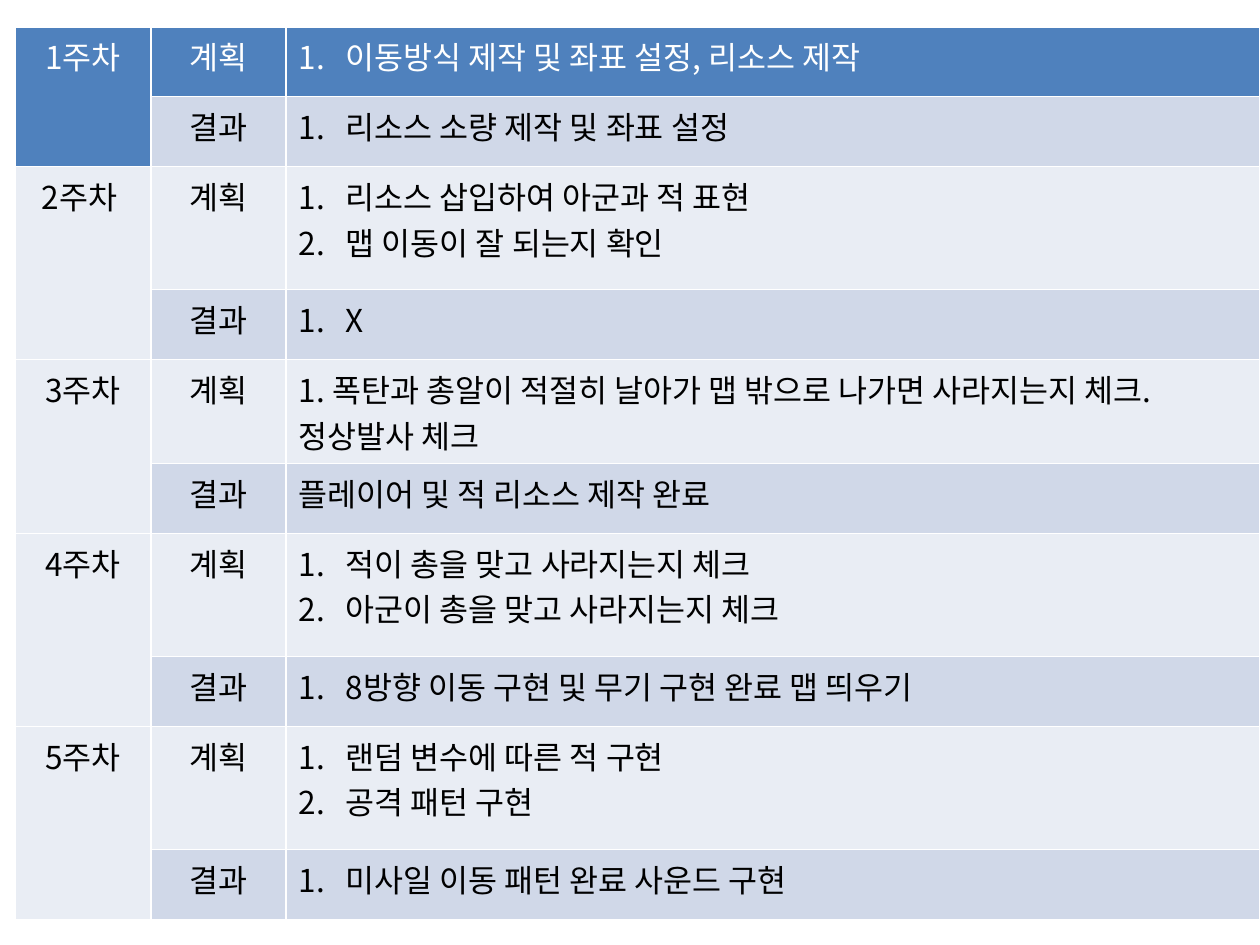
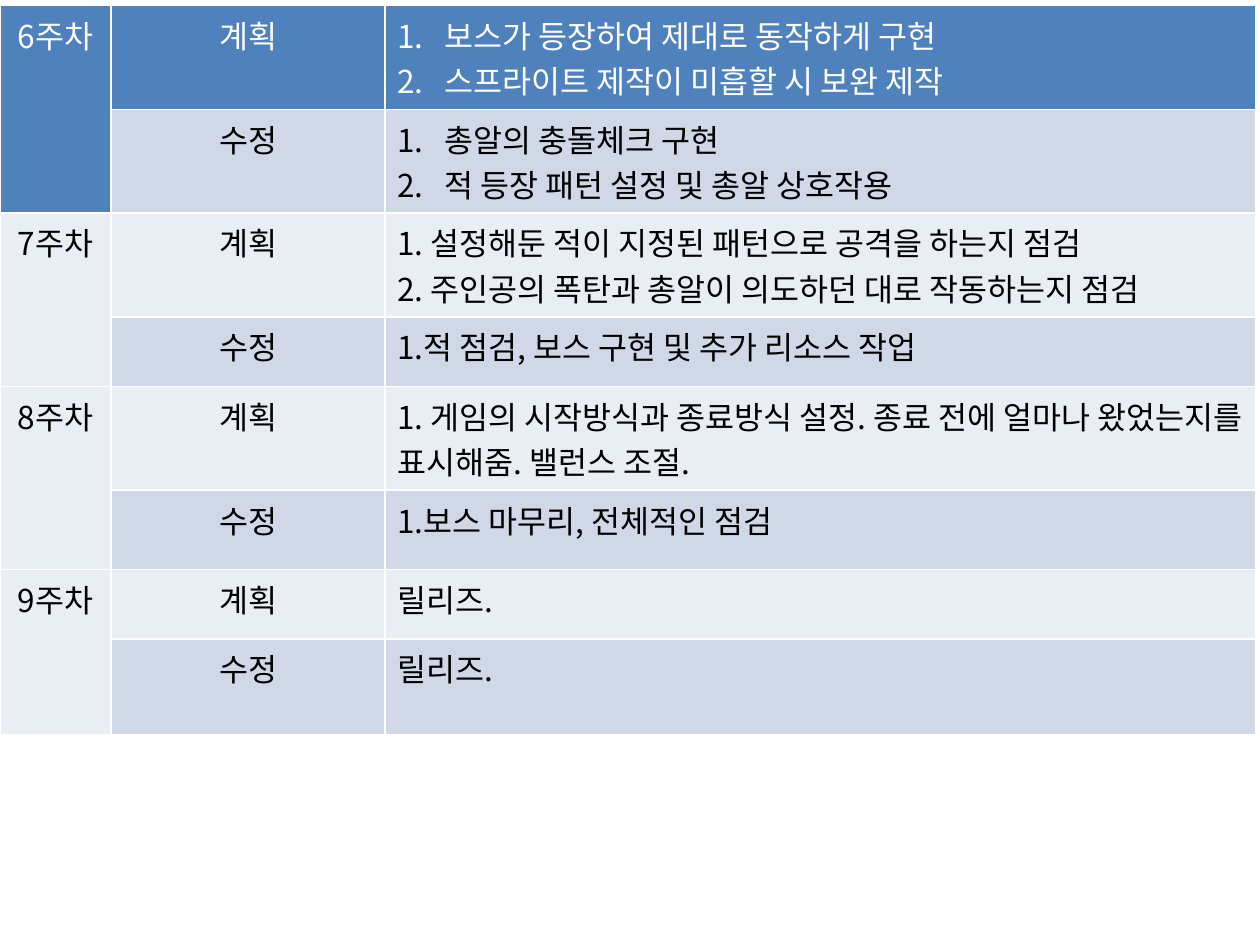
from lxml import etree
from pptx import Presentation
from pptx import util as u
from pptx.dml import color
from pptx.enum import text
from pptx.oxml import ns

FONT = "Noto Sans CJK KR"
WHITE, BLACK = "FFFFFF", "000000"
HEADER, PLAN_ROW, RESULT_ROW = "4F81BD", "E9EDF4", "D0D8E8"
NUMBER_INDENT = u.Cm(0.95)
SHORT, TALL = 1.41, 2.48  # row heights in cm

# Each week: label, plan, outcome. A list is auto-numbered; a string is plain
# text with one paragraph per line.
FIRST_WEEKS = [
    ("1주차", ["이동방식 제작 및 좌표 설정, 리소스 제작"],
     ["리소스 소량 제작 및 좌표 설정"]),
    ("2주차 ", ["리소스 삽입하여 아군과 적 표현", "맵 이동이 잘 되는지 확인"], ["X"]),
    ("3주차", "1. 폭탄과 총알이 적절히 날아가 맵 밖으로 나가면 사라지는지 체크. 정상발사 체크",
     "플레이어 및 적 리소스 제작 완료"),
    ("4주차", ["적이 총을 맞고 사라지는지 체크", "아군이 총을 맞고 사라지는지 체크"],
     ["8방향 이동 구현 및 무기 구현 완료 맵 띄우기"]),
    ("5주차", ["랜덤 변수에 따른 적 구현", "공격 패턴 구현"],
     ["미사일 이동 패턴 완료 사운드 구현"]),
]
LAST_WEEKS = [
    ("6주차", ["보스가 등장하여 제대로 동작하게 구현", "스프라이트 제작이 미흡할 시 보완 제작"],
     ["총알의 충돌체크 구현", "적 등장 패턴 설정 및 총알 상호작용"]),
    ("7주차", "1. 설정해둔 적이 지정된 패턴으로 공격을 하는지 점검\n"
     "2. 주인공의 폭탄과 총알이 의도하던 대로 작동하는지 점검",
     "1.적 점검, 보스 구현 및 추가 리소스 작업"),
    ("8주차", "1. 게임의 시작방식과 종료방식 설정. 종료 전에 얼마나 왔었는지를 표시해줌. 밸런스 조절.",
     "1.보스 마무리, 전체적인 점검"),
    ("9주차", "릴리즈.", "릴리즈."),
]


def rgb(value):
    return color.RGBColor.from_string(value)


def add_borders(cell):
    """Draw a thin white line on all four sides."""
    properties = cell._tc.get_or_add_tcPr()
    for side in ("lnL", "lnR", "lnT", "lnB"):
        line = etree.SubElement(properties, ns.qn(f"a:{side}"), w=str(u.Pt(1)))
        fill = etree.SubElement(line, ns.qn("a:solidFill"))
        etree.SubElement(fill, ns.qn("a:srgbClr"), val=WHITE)


def number_paragraph(paragraph):
    properties = paragraph._p.get_or_add_pPr()
    properties.set("marL", str(NUMBER_INDENT))
    properties.set("indent", str(-NUMBER_INDENT))
    etree.SubElement(properties, ns.qn("a:buFont"), typeface="+mj-lt")
    etree.SubElement(properties, ns.qn("a:buAutoNum"), type="arabicPeriod")


def fill_cell(cell, content, fill, centred=False):
    add_borders(cell)
    cell.fill.solid()
    cell.fill.fore_color.rgb = rgb(fill)
    numbered = isinstance(content, list)
    cell.text_frame.text = "\n".join(content) if numbered else content
    for paragraph in cell.text_frame.paragraphs:
        if centred:
            paragraph.alignment = text.PP_ALIGN.CENTER
        if numbered:
            number_paragraph(paragraph)
        for run in paragraph.runs:
            for name, value in {"name": FONT, "size": u.Pt(18)}.items():
                setattr(run.font, name, value)
            run.font.color.rgb = rgb(WHITE if fill == HEADER else BLACK)
            etree.SubElement(run.font._element, ns.qn("a:ea"), typeface=FONT)


def add_schedule(slide, left, top, columns, rows, weeks, outcome_label):
    """Place the weekly table; every week takes a plan row and an outcome row."""
    frame = slide.shapes.add_table(len(rows), len(columns), u.Cm(left), u.Cm(top),
                                   u.Cm(sum(columns)), u.Cm(sum(rows)))
    table = frame.table
    table.first_row = table.horz_banding = False
    for column, width in zip(table.columns, columns):
        column.width = u.Cm(width)
    for row, height in zip(table.rows, rows):
        row.height = u.Cm(height)

    for index, (week, plan, outcome) in enumerate(weeks):
        first = 2 * index
        plan_fill = PLAN_ROW if index else HEADER
        # Week label spans both rows
        table.cell(first, 0).merge(table.cell(first + 1, 0))
        fill_cell(table.cell(first, 0), week, plan_fill, centred=True)
        fill_cell(table.cell(first + 1, 0), "", plan_fill)
        # Plan and outcome rows
        entries = (("계획", plan, plan_fill), (outcome_label, outcome, RESULT_ROW))
        for row, (label, content, fill) in enumerate(entries, first):
            fill_cell(table.cell(row, 1), label, fill, centred=True)
            fill_cell(table.cell(row, 2), content, fill)


def main():
    presentation = Presentation()
    presentation.slide_width, presentation.slide_height = u.Cm(25.4), u.Cm(19.05)
    blank = presentation.slide_layouts[6]

    # Weeks 1 to 5
    add_schedule(presentation.slides.add_slide(blank), 0.31, 0.54, (2.73, 2.73, 19.63),
                 (SHORT, SHORT, TALL, SHORT, 1.83, SHORT, TALL, SHORT, TALL, SHORT),
                 FIRST_WEEKS, "결과")
    # Weeks 6 to 9
    add_schedule(presentation.slides.add_slide(blank), 0, 0.11, (2.24, 5.52, 17.56),
                 (1.63, 1.85, 1.8, 1.4, 1.8, 1.6, 1.4, 1.93), LAST_WEEKS, "수정")
    presentation.save("out.pptx")


if __name__ == "__main__":
    main()
